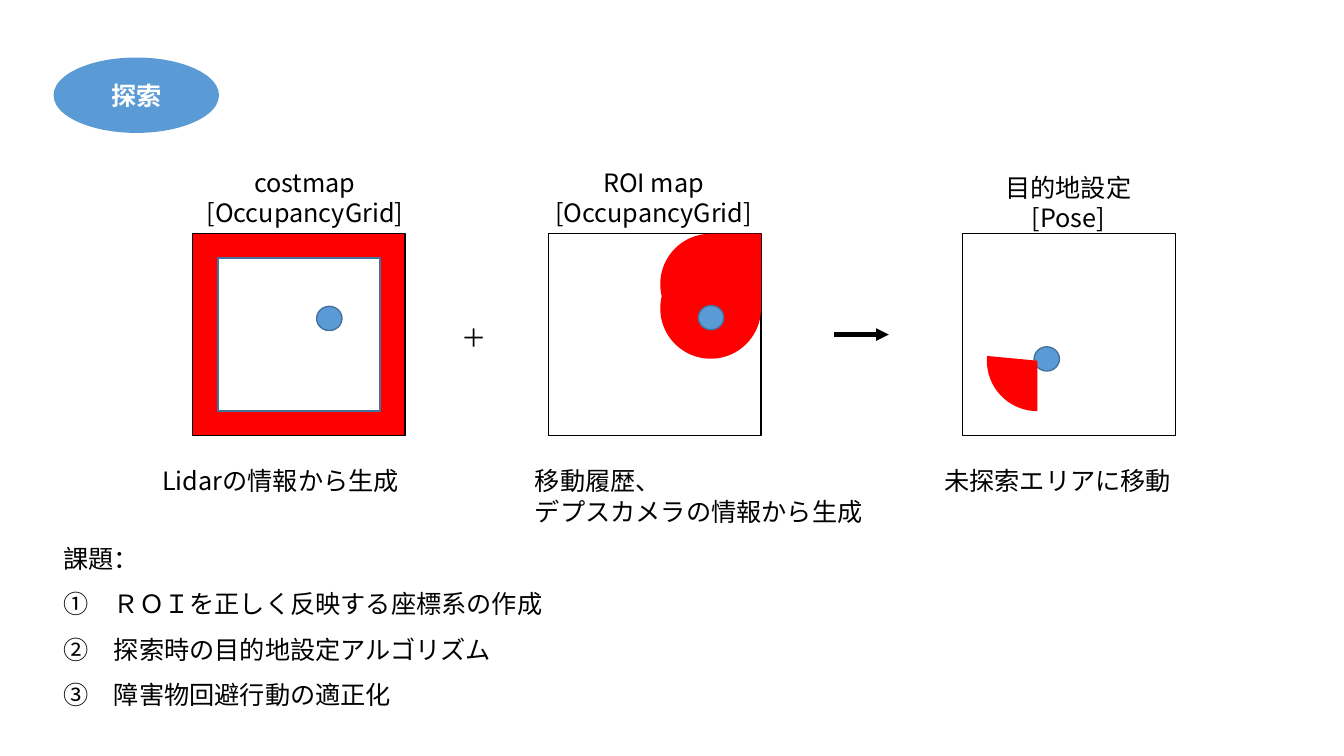
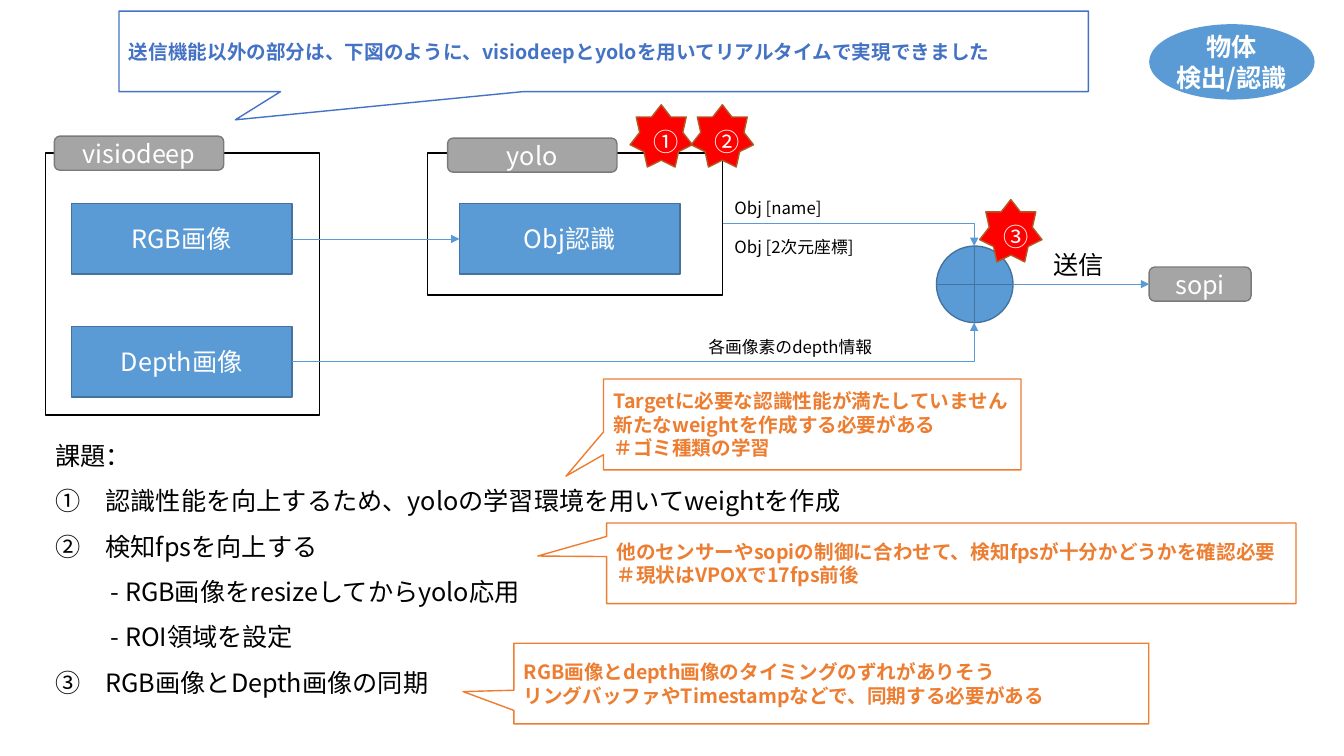
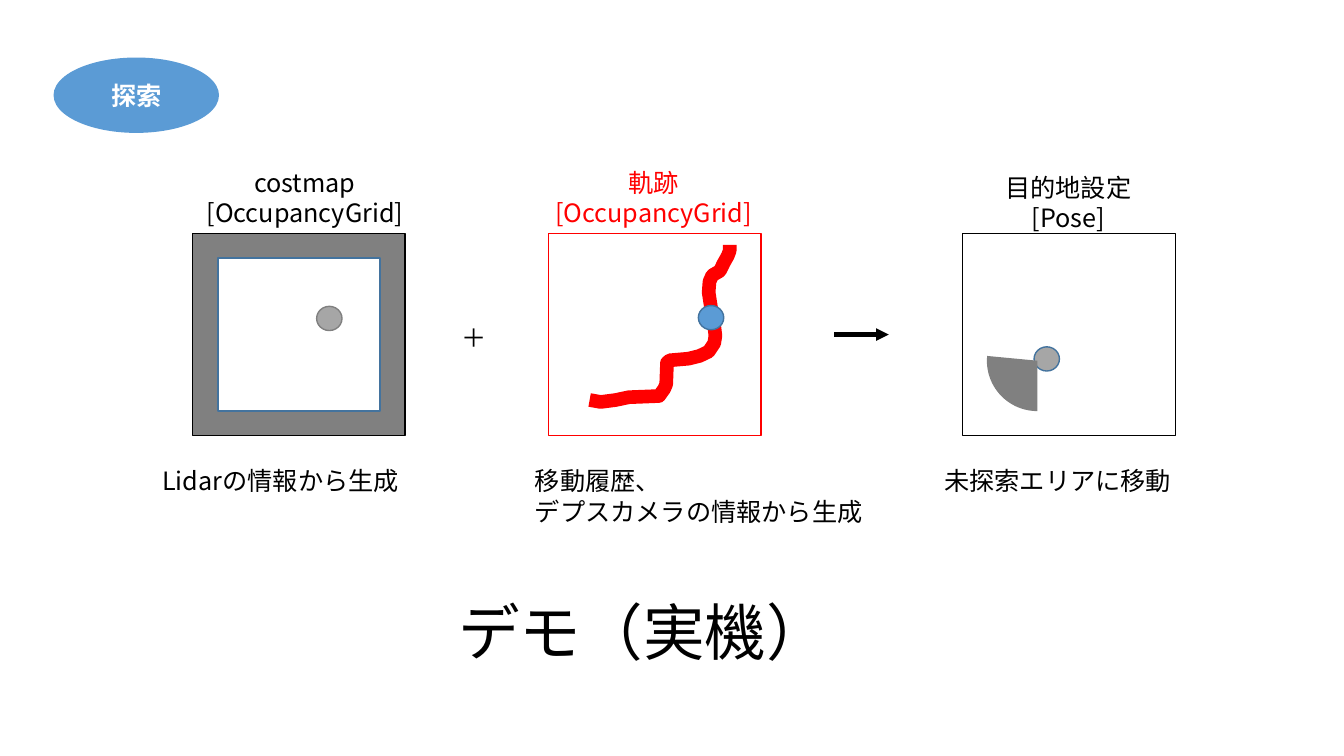
from pptx import Presentation
from pptx.dml.color import RGBColor
from pptx.enum.shapes import MSO_CONNECTOR, MSO_SHAPE
from pptx.enum.text import MSO_ANCHOR, PP_ALIGN
from pptx.oxml.ns import qn
from pptx.util import Cm, Pt
from lxml.etree import SubElement

FONT = "Noto Sans CJK JP"
BLACK = RGBColor(0x00, 0x00, 0x00)
WHITE = RGBColor(0xFF, 0xFF, 0xFF)
RED = RGBColor(0xFF, 0x00, 0x00)
BLUE = RGBColor(0x5B, 0x9B, 0xD5)
BLUE_EDGE = RGBColor(0x43, 0x73, 0x9E)
NOTE_BLUE = RGBColor(0x44, 0x72, 0xC4)
ORANGE = RGBColor(0xED, 0x7D, 0x31)
STAR_EDGE = RGBColor(0xAF, 0x5C, 0x24)
TAG_GRAY = RGBColor(0xA5, 0xA5, 0xA5)
TAG_EDGE = RGBColor(0x7A, 0x7A, 0x7A)
DOT_GRAY = RGBColor(0xA6, 0xA6, 0xA6)
GRAY = RGBColor(0x80, 0x80, 0x80)

MAP_TOP, MAP_WIDTH, MAP_HEIGHT = 5.89, 5.36, 5.08
COST_LEFT, MIDDLE_LEFT, GOAL_LEFT = 4.85, 13.82, 24.26
TRACK = [
    (14.86, 10.08), (15.14, 10.13), (15.52, 10.08), (15.85, 10.01),
    (16.61, 9.98), (16.74, 9.8), (16.79, 9.68), (16.81, 9.14),
    (16.88, 9.08), (17.35, 9.04), (17.63, 8.97), (17.86, 8.86),
    (18, 8.65), (18.03, 8.46), (17.98, 8.05), (17.93, 7.82),
    (17.86, 7.37), (17.88, 7.1), (17.95, 6.94), (18.14, 6.83),
    (18.24, 6.63), (18.34, 6.45), (18.39, 6.32), (18.39, 6.17),
]


def write(shape, lines, size=18, color=BLACK, bold=False, align=PP_ALIGN.LEFT,
          spacing=None, wrap=True):
    frame = shape.text_frame
    frame.word_wrap = wrap
    frame.text = "\n".join(lines)
    for para in frame.paragraphs:
        para.alignment = align
        if spacing:
            para.line_spacing = spacing
        for span in para.runs:
            font = span.font
            font.name, font.size, font.bold = FONT, Pt(size), bold
            font.color.rgb = color
            SubElement(font._element, qn("a:ea")).set("typeface", FONT)
    return frame


def add_text(page, area, lines, **style):
    box = page.shapes.add_textbox(*map(Cm, area))
    return write(box, lines, **style)


def add_shape(page, kind, area, fill=None, edge=None):
    shape = page.shapes.add_shape(kind, *map(Cm, area))
    shape.shadow.inherit = False
    if fill is None:
        shape.fill.background()
    else:
        shape.fill.solid()
        shape.fill.fore_color.rgb = fill
    if edge is None:
        shape.line.fill.background()
    else:
        shape.line.color.rgb = edge
        shape.line.width = Pt(1)
    return shape


def add_label(page, kind, area, fill, edge, lines, **style):
    shape = add_shape(page, kind, area, fill, edge)
    shape.text_frame.vertical_anchor = MSO_ANCHOR.MIDDLE
    write(shape, lines, **{"color": WHITE, "align": PP_ALIGN.CENTER, **style})
    return shape


def add_arrow(page, start, end, color=BLUE, width=0.5, bent=False):
    kind = MSO_CONNECTOR.ELBOW if bent else MSO_CONNECTOR.STRAIGHT
    arrow = page.shapes.add_connector(kind, *map(Cm, start + end))
    arrow.line.color.rgb = color
    arrow.line.width = Pt(width)
    properties = arrow._element.spPr
    if bent:
        properties.find(qn("a:prstGeom")).set("prst", "bentConnector2")
    SubElement(properties.find(qn("a:ln")), qn("a:tailEnd")).set("type", "triangle")
    SubElement(properties, qn("a:effectLst"))
    return arrow


def add_topic(page, left, top, lines, wrap=True):
    add_label(page, MSO_SHAPE.OVAL, (left, top, 4.17, 1.9), BLUE, None, lines,
              bold=True, wrap=wrap)


def add_callout(page, area, tip, color, lines):
    callout = add_label(page, MSO_SHAPE.RECTANGULAR_CALLOUT, area, WHITE, color,
                        lines, size=14, color=color, bold=True, align=PP_ALIGN.LEFT)
    callout.adjustments[0], callout.adjustments[1] = tip


def add_map_frame(page, left, edge=BLACK, fill=None):
    add_shape(page, MSO_SHAPE.RECTANGLE, (left, MAP_TOP, MAP_WIDTH, MAP_HEIGHT), fill, edge)


def add_robot(page, left, top, fill=BLUE, edge=BLUE_EDGE):
    add_shape(page, MSO_SHAPE.OVAL, (left, top, 0.64, 0.61), fill, edge)


def add_map_title(page, left, top, width, lines, color=BLACK):
    add_text(page, (left, top, width, 1.8), lines, color=color,
             align=PP_ALIGN.CENTER, wrap=False)


def add_roi(page):
    for top in (MAP_TOP, 6.5):
        add_shape(page, MSO_SHAPE.TEAR, (16.64, top, 2.54, 2.54), RED)


def add_track(page):
    points = [(Cm(x), Cm(y)) for x, y in TRACK]
    builder = page.shapes.build_freeform(*points[0])
    builder.add_line_segments(points[1:], close=False)
    track = builder.convert_to_shape()
    track.shadow.inherit = False
    track.fill.background()
    track.line.color.rgb = RED
    track.line.width = Pt(9.75)


def build_exploration(page, middle_name, middle_color, middle_edge, add_content,
                      area_color, cost_robot, goal_robot):
    add_topic(page, 1.35, 1.45, ["探索"])
    add_map_frame(page, COST_LEFT, fill=area_color)
    add_shape(page, MSO_SHAPE.RECTANGLE, (5.49, 6.5, 4.09, 3.86), WHITE, BLUE_EDGE)
    add_robot(page, 7.98, 7.72, *cost_robot)
    add_map_frame(page, MIDDLE_LEFT, middle_edge)
    add_content(page)
    add_robot(page, 17.6, 7.7)
    add_map_frame(page, GOAL_LEFT)
    add_robot(page, 26.06, 8.74, goal_robot)
    view = add_shape(page, MSO_SHAPE.PIE, (24.87, 7.82, 2.54, 2.54), area_color)
    view.adjustments[0], view.adjustments[1] = 0, 57.26
    view.rotation = 90
    add_map_title(page, 4.93, 4.09, 5.51, ["costmap", "[OccupancyGrid]"])
    add_map_title(page, 13.72, 4.09, 5.51, [middle_name, "[OccupancyGrid]"], middle_color)
    add_map_title(page, 25.07, 4.22, 3.71, ["目的地設定", "[Pose]"])
    add_text(page, (11.38, 8, 1.14, 1.02), ["＋"], wrap=False)
    add_arrow(page, (21.03, 8.43), (22.4, 8.43), BLACK, 3)
    for left, width, lines in (
        (3.84, 6.5, ["Lidarの情報から生成"]),
        (13.23, 8.84, ["移動履歴、", "デプスカメラの情報から生成"]),
        (23.55, 6.27, ["未探索エリアに移動"]),
    ):
        add_text(page, (left, 11.61, width, 1.02), lines)


def build_roi_page(page):
    build_exploration(page, "ROI map", BLACK, BLACK, add_roi, RED,
                      (BLUE, BLUE_EDGE), BLUE)
    add_text(page, (1.35, 13.18, 21.62, 4.88), [
        "課題：",
        "①　ＲＯＩを正しく反映する座標系の作成",
        "②　探索時の目的地設定アルゴリズム",
        "③　障害物回避行動の適正化",
    ], spacing=1.5)


def build_demo_page(page):
    build_exploration(page, "軌跡", RED, RED, add_track, GRAY,
                      (DOT_GRAY, GRAY), DOT_GRAY)
    add_text(page, (11.3, 14.83, 9.91, 2.13), ["デモ（実機）"], size=44)


def add_tag(page, left, top, width, name):
    return add_label(page, MSO_SHAPE.ROUNDED_RECTANGLE, (left, top, width, 0.86),
                     TAG_GRAY, TAG_EDGE, [name])


def add_step(page, left, top, name):
    return add_label(page, MSO_SHAPE.RECTANGLE, (left, top, 5.56, 1.78),
                     BLUE, BLUE_EDGE, [name])


def add_star(page, left, top, number):
    add_label(page, MSO_SHAPE.STAR_7_POINT, (left, top, 1.57, 1.57),
              RED, STAR_EDGE, [number], spacing=1.5)


def build_detection_page(page):
    add_shape(page, MSO_SHAPE.RECTANGLE, (1.14, 3.86, 6.91, 6.6), None, BLACK)
    add_shape(page, MSO_SHAPE.RECTANGLE, (10.77, 3.86, 7.44, 3.58), None, BLACK)
    add_tag(page, 1.37, 3.43, 4.27, "visiodeep")
    add_tag(page, 11.28, 3.48, 4.27, "yolo")
    receiver = add_tag(page, 28.96, 6.73, 2.57, "sopi")
    color_image = add_step(page, 1.8, 5.13, "RGB画像")
    add_step(page, 1.8, 8.23, "Depth画像")
    recognition = add_step(page, 11.58, 5.13, "Obj認識")
    add_shape(page, MSO_SHAPE.FLOWCHART_OR, (23.6, 6.2, 1.93, 1.93), BLUE, BLUE_EDGE)

    to_recognition = add_arrow(page, (7.36, 6.02), (11.58, 6.02))
    to_recognition.begin_connect(color_image, 3)
    to_recognition.end_connect(recognition, 1)
    add_arrow(page, (18.21, 5.64), (24.55, 6.2), bent=True)
    add_arrow(page, (7.36, 9.12), (24.55, 8.13), bent=True)
    add_arrow(page, (25.53, 7.16), (28.96, 7.16)).end_connect(receiver, 1)

    outputs = add_text(page, (18.26, 4.85, 7.67, 1.8),
                       ["Obj [name]", "Obj [2次元座標]"], size=12)
    outputs.paragraphs[1].space_before = Pt(14)
    add_text(page, (17.6, 8.36, 7.67, 0.76), ["各画像素のdepth情報"], size=12)
    add_text(page, (26.29, 6.17, 2.74, 1.02), ["送信"])

    for left, top, number in ((15.88, 2.64, "①"), (17.42, 2.64, "②"), (24.69, 5.03, "③")):
        add_star(page, left, top, number)

    issues = add_text(page, (1.14, 10.59, 21.62, 7.19), [
        "課題：",
        "①　認識性能を向上するため、yoloの学習環境を用いてweightを作成",
        "②　検知fpsを向上する",
        "- RGB画像をresizeしてからyolo応用",
        "- ROI領域を設定",
        "③　RGB画像とDepth画像の同期",
    ], spacing=1.5)
    for para in issues.paragraphs[3:5]:
        para._p.get_or_add_pPr().set("marL", str(Cm(1.4)))

    for area, tip, color, lines in (
        ((12.95, 16.21, 16, 2.03), (-0.58, 0.1), ORANGE,
         ["RGB画像とdepth画像のタイミングのずれがありそう",
          "リングバッファやTimestampなどで、同期する必要がある"]),
        ((15.21, 9.55, 10.52, 2.29), (-0.59, 0.57), ORANGE,
         ["Targetに必要な認識性能が満たしていません",
          "新たなweightを作成する必要がある", "＃ゴミ種類の学習"]),
        ((15.29, 13.18, 17.37, 2.03), (-0.6, -0.09), ORANGE,
         ["他のセンサーやsopiの制御に合わせて、検知fpsが十分かどうかを確認必要",
          "＃現状はVPOXで17fps前後"]),
        ((3, 0.28, 24.43, 2.03), (-0.38, 0.85), NOTE_BLUE,
         ["送信機能以外の部分は、下図のように、visiodeepとyoloを用いてリアルタイムで実現できました"]),
    ):
        add_callout(page, area, tip, color, lines)
    add_topic(page, 28.96, 0.61, ["物体", "検出/認識"], wrap=False)


def main():
    deck = Presentation()
    deck.slide_width, deck.slide_height = Cm(33.87), Cm(19.05)
    for build in (build_roi_page, build_detection_page, build_demo_page):
        build(deck.slides.add_slide(deck.slide_layouts[6]))
    deck.save("out.pptx")


if __name__ == "__main__":
    main()
